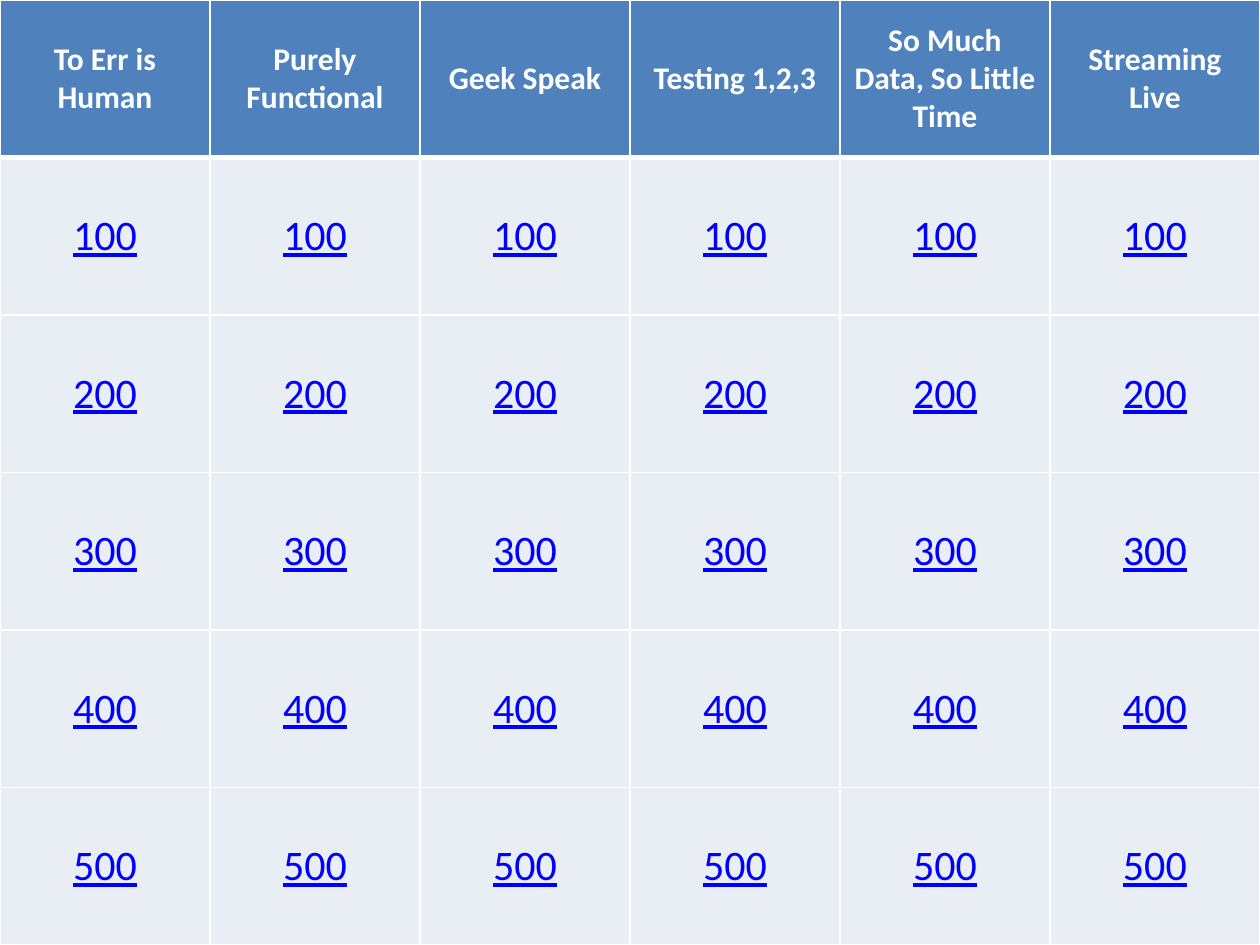
from dataclasses import dataclass

from lxml import etree
from pptx import Presentation
from pptx.dml.color import RGBColor
from pptx.enum.text import MSO_ANCHOR, PP_ALIGN
from pptx.oxml.ns import qn
from pptx.table import _Cell
from pptx.util import Pt

MIDDLE = MSO_ANCHOR.MIDDLE
CENTER = PP_ALIGN.CENTER
FONT = "Calibri"
WIDTH, HEIGHT = 720, 540
RULE = "FFFFFF"
THIN, THICK = 1, 3

TOPICS = ["To Err is Human", "Purely Functional", "Geek Speak",
          "Testing 1,2,3", "So Much Data, So Little Time", "Streaming Live"]
POINTS = range(100, 600, 100)


@dataclass(frozen=True)
class Style:
    fill: str
    color: str
    size: int
    bold: bool
    under: bool


HEAD = Style("4F81BD", "FFFFFF", 18, True, False)
BODY = Style("E9EDF4", "0000FF", 24, False, True)


def rgb(code: str) -> RGBColor:
    return RGBColor.from_string(code)


def add_rules(cell: _Cell, top: int, bottom: int) -> None:
    """Draw the four cell borders; call before the fill is set."""
    props = cell._tc.get_or_add_tcPr()
    widths = {"a:lnL": THIN, "a:lnR": THIN, "a:lnT": top, "a:lnB": bottom}
    for tag, width in widths.items():
        line = etree.SubElement(props, qn(tag), w=str(Pt(width)))
        fill = etree.SubElement(line, qn("a:solidFill"))
        etree.SubElement(fill, qn("a:srgbClr"), val=RULE)


def fill_cell(cell: _Cell, text: str, style: Style) -> None:
    cell.fill.solid()
    cell.fill.fore_color.rgb = rgb(style.fill)
    cell.vertical_anchor = MIDDLE
    cell.text_frame.text = text
    para = cell.text_frame.paragraphs[0]
    para.alignment = CENTER
    font = para.runs[0].font
    font.name = FONT
    font.size = Pt(style.size)
    font.bold = style.bold
    font.underline = style.under
    font.color.rgb = rgb(style.color)


# Slide
deck = Presentation()
deck.slide_width, deck.slide_height = Pt(WIDTH), Pt(HEIGHT)
slide = deck.slides.add_slide(deck.slide_layouts[6])

# Game board: topics on top, one row for each point value
rows = [TOPICS] + [[str(value)] * len(TOPICS) for value in POINTS]
board = slide.shapes.add_table(
    len(rows), len(TOPICS), Pt(0), Pt(0), Pt(WIDTH), Pt(HEIGHT)).table

for r, texts in enumerate(rows):
    style = HEAD if r == 0 else BODY
    top = THICK if r == 1 else THIN
    bottom = THICK if r == 0 else THIN
    for c, text in enumerate(texts):
        cell = board.cell(r, c)
        add_rules(cell, top, bottom)
        fill_cell(cell, text, style)

deck.save("out.pptx")
